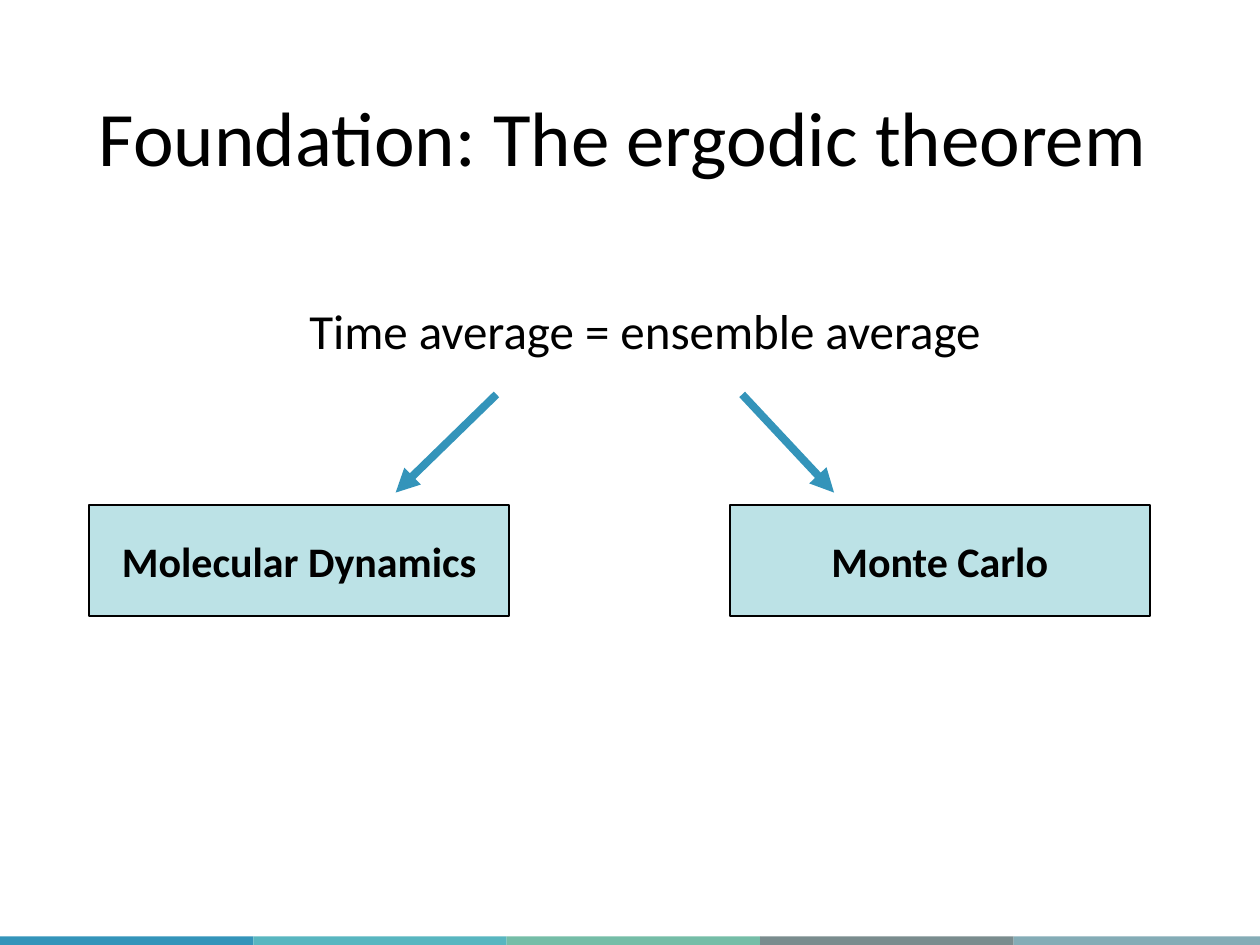
from dataclasses import dataclass

import pptx
import pptx.dml.color
import pptx.enum.dml
import pptx.enum.shapes
import pptx.enum.text
import pptx.oxml
import pptx.oxml.ns
import pptx.util

Pt = pptx.util.Pt
RGBColor = pptx.dml.color.RGBColor
PP_ALIGN = pptx.enum.text.PP_ALIGN
MSO_ANCHOR = pptx.enum.text.MSO_ANCHOR

BLACK = RGBColor(0x00, 0x00, 0x00)
BLUE = RGBColor(0x34, 0x94, 0xBA)
PALE_TEAL = RGBColor(0xBC, 0xE2, 0xE6)
STRIPE_COLORS = (
    BLUE,
    RGBColor(0x58, 0xB6, 0xC0),
    RGBColor(0x75, 0xBD, 0xA7),
    RGBColor(0x7A, 0x8C, 0x8E),
    RGBColor(0x84, 0xAC, 0xB6),
)
FONT = "Calibri"
STRIPE_WIDTH = 144.8
STRIPE_TOP = 535


@dataclass(frozen=True)
class Box:
    left: float
    top: float
    width: float
    height: float

    def in_points(self):
        return Pt(self.left), Pt(self.top), Pt(self.width), Pt(self.height)


@dataclass(frozen=True)
class Method:
    """A simulation method and the arrow that leads to it."""
    label: str
    left: float
    arrow_start: float
    arrow_end: float


METHODS = (
    Method("Molecular Dynamics", 51, 283.7, 226.1),
    Method("Monte Carlo", 417, 424.1, 476.6),
)


def write_text(shape, text: str, *, size: float, bold: bool = False,
               align=PP_ALIGN.CENTER, anchor=MSO_ANCHOR.MIDDLE,
               line_spacing: float = 1.0) -> None:
    frame = shape.text_frame
    frame.word_wrap = True
    frame.vertical_anchor = anchor
    paragraph = frame.paragraphs[0]
    paragraph.alignment = align
    paragraph.line_spacing = line_spacing
    run = paragraph.add_run()
    run.text = text
    run.font.name = FONT
    run.font.size = Pt(size)
    run.font.bold = bold
    run.font.color.rgb = BLACK


def add_rectangle(slide, box: Box, fill: RGBColor, outlined: bool = False):
    rectangle = slide.shapes.add_shape(
        pptx.enum.shapes.MSO_SHAPE.RECTANGLE, *box.in_points())
    rectangle.shadow.inherit = False
    rectangle.fill.solid()
    rectangle.fill.fore_color.rgb = fill
    if outlined:
        rectangle.line.color.rgb = BLACK
        rectangle.line.width = Pt(1)
    else:
        rectangle.line.fill.background()
    return rectangle


def add_arrow(slide, start_x: float, end_x: float) -> None:
    """Draw an arrow from below the equation to above a method."""
    arrow = slide.shapes.add_connector(
        pptx.enum.shapes.MSO_CONNECTOR.STRAIGHT,
        Pt(start_x), Pt(225.4), Pt(end_x), Pt(281.5))
    arrow.line.color.rgb = BLUE
    arrow.line.width = Pt(4.5)
    line = arrow.line._get_or_add_ln()
    head = pptx.oxml.parse_xml(
        f'<a:tailEnd {pptx.oxml.ns.nsdecls("a")} type="triangle"/>')
    line.append(head)
    no_effects = pptx.oxml.parse_xml(
        f'<a:effectLst {pptx.oxml.ns.nsdecls("a")}/>')
    line.addnext(no_effects)


def main() -> None:
    presentation = pptx.Presentation()
    presentation.slide_width = Pt(720)
    presentation.slide_height = Pt(540)
    slide = presentation.slides.add_slide(presentation.slide_layouts[6])

    for index, color in enumerate(STRIPE_COLORS):
        add_rectangle(
            slide, Box(index * STRIPE_WIDTH, STRIPE_TOP, STRIPE_WIDTH, 7), color)

    title = slide.shapes.add_textbox(*Box(49.5, 28.75, 621, 104.4).in_points())
    write_text(title, "Foundation: The ergodic theorem", size=44,
               align=PP_ALIGN.LEFT, line_spacing=0.9)

    for method in METHODS:
        add_arrow(slide, method.arrow_start, method.arrow_end)
        method_box = add_rectangle(
            slide, Box(method.left, 288.6, 240, 63.4), PALE_TEAL, outlined=True)
        write_text(method_box, method.label, size=24, bold=True)

    equation = slide.shapes.add_textbox(*Box(130.5, 168, 476, 41.2).in_points())
    write_text(equation, "Time average = ensemble average", size=28,
               anchor=MSO_ANCHOR.TOP)

    presentation.save("out.pptx")


if __name__ == "__main__":
    main()
